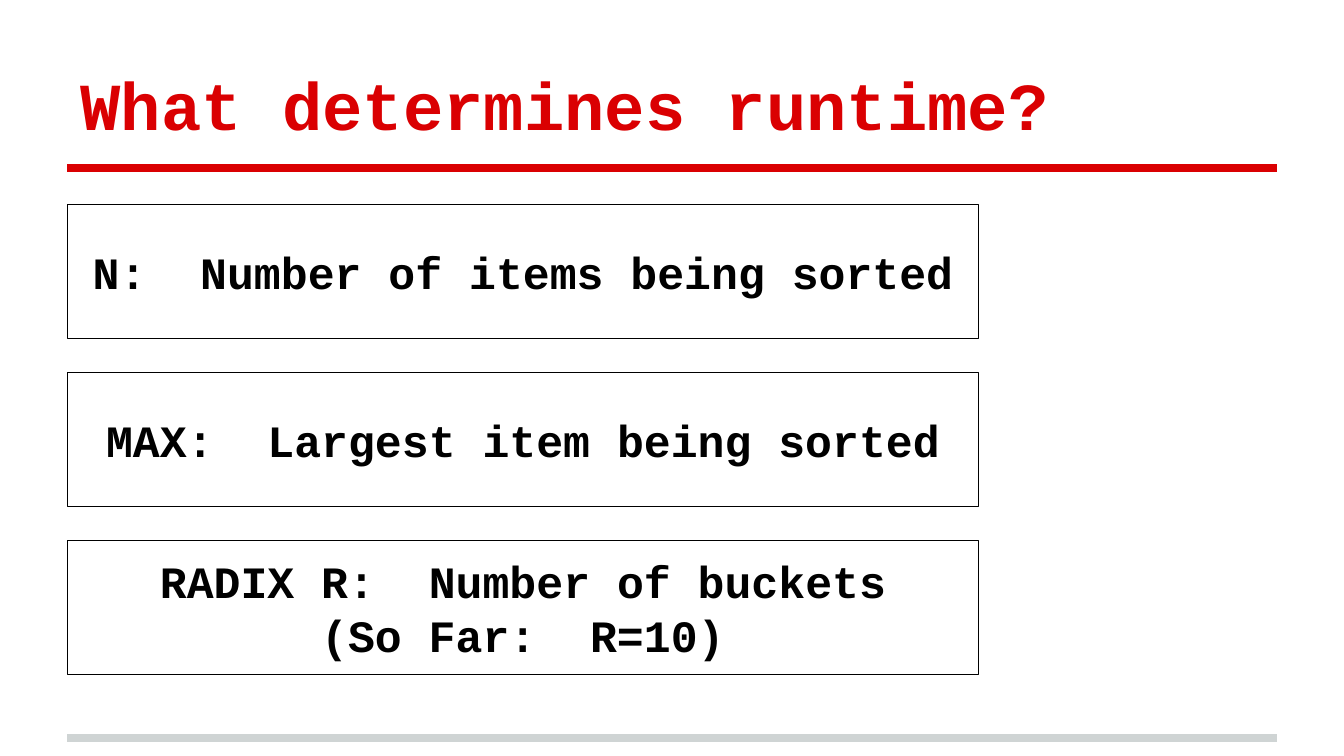
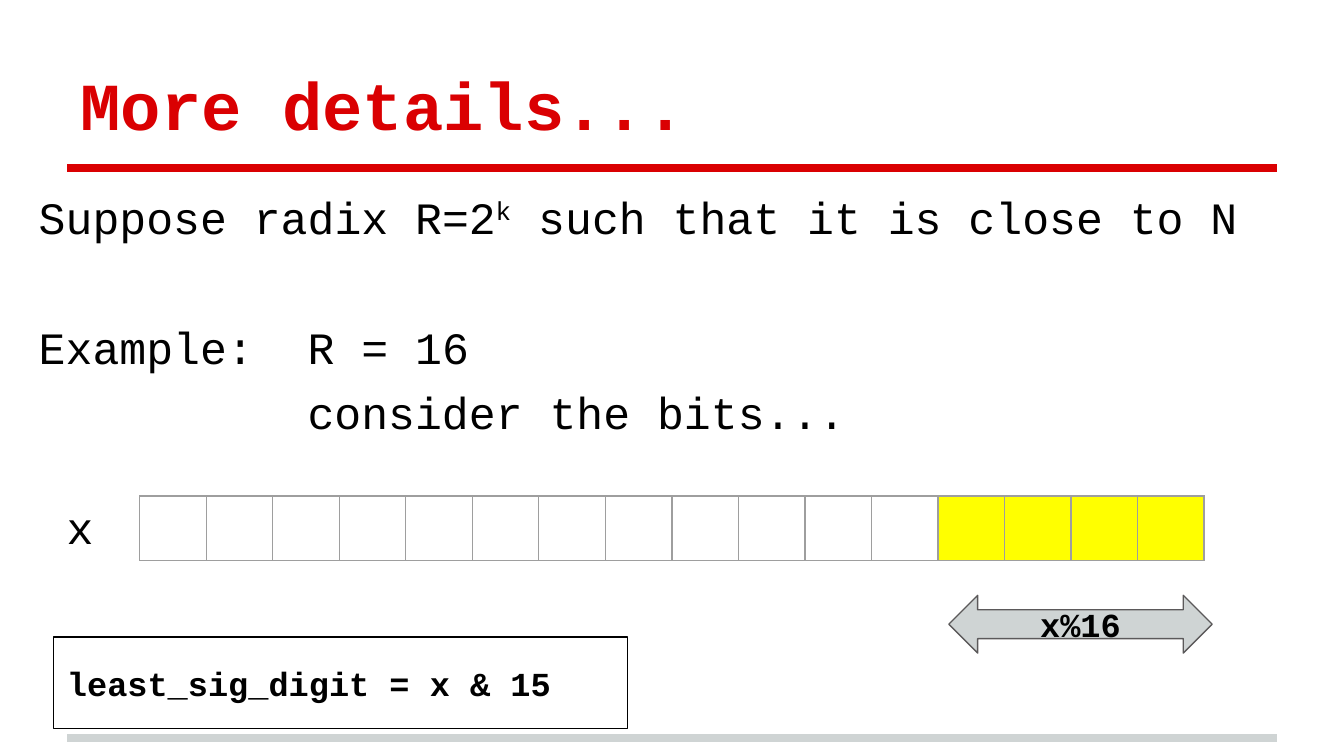
from pptx import Presentation
from pptx.dml.color import RGBColor
from pptx.enum.shapes import MSO_CONNECTOR as Line, MSO_SHAPE as Shape
from pptx.enum.text import MSO_ANCHOR as Anchor, MSO_AUTO_SIZE as Fit, PP_ALIGN as Align
from pptx.oxml.ns import qn
from pptx.util import Inches, Pt
from lxml.etree import SubElement as Sub

FONT = "Courier New"
RED, GREY, BLACK = "DA0002", "CFD4D4", "000000"
YELLOW, EDGE, GRID = "FFFF00", "5B595A", "9E9E9E"
LEFT, WIDE = 0.5, 9


def color(code):
    return RGBColor.from_string(code)


def place(item, box):
    item.left, item.top, item.width, item.height = map(Inches, box)


# Text
def frame(item, anchor):
    text = item.text_frame
    text.word_wrap = True
    text.auto_size = Fit.NONE
    text.vertical_anchor = anchor
    text.margin_left = text.margin_right = Inches(0.1)
    text.margin_top = text.margin_bottom = Inches(0.1)
    return text


def write(para, words, size, bold=False, tint=BLACK, align=Align.LEFT):
    para.alignment = align
    run = para.add_run()
    run.text = words
    font = run.font
    font.name, font.size, font.bold = FONT, Pt(size), bold
    font.color.rgb = color(tint)
    return run


def fill_in(item, lines, size, bold=True, align=Align.CENTER):
    text = frame(item, Anchor.MIDDLE)
    for i, words in enumerate(lines):
        para = text.add_paragraph() if i else text.paragraphs[0]
        write(para, words, size, bold, align=align)


# Shapes
def panel(slide, box, lines, size, kind=Shape.RECTANGLE, fill=None,
          edge=BLACK, align=Align.CENTER):
    item = slide.shapes.add_shape(kind, *map(Inches, box))
    item.shadow.inherit = False
    if fill:
        item.fill.solid()
        item.fill.fore_color.rgb = color(fill)
    else:
        item.fill.background()
    item.line.color.rgb = color(edge)
    item.line.width = Pt(0.75)
    fill_in(item, lines, size, align=align)


def rule(slide, top, tint):
    line = slide.shapes.add_connector(
        Line.STRAIGHT, Inches(LEFT), Inches(top), Inches(LEFT + WIDE), Inches(top))
    line.line.color.rgb = color(tint)
    line.line.width = Pt(4)
    Sub(line._element.spPr, qn("a:effectLst"))


# Title and the two rules that every slide has
def start(deck, title):
    slide = deck.slides.add_slide(deck.slide_layouts[5])
    head = slide.shapes.title
    place(head, (LEFT, 0.23, WIDE, 0.94))
    write(frame(head, Anchor.BOTTOM).paragraphs[0], title, 36, True, RED)
    rule(slide, 5.49, GREY)
    rule(slide, 1.25, RED)
    return slide


# Stack of equal boxes
def stack(slide, box, items, gap=0.25):
    left, top, width, height = box
    for i, lines in enumerate(items):
        panel(slide, (left, top + i * (height + gap), width, height), lines, 24)


# Body text
def body(slide, box):
    item = slide.shapes.add_textbox(*map(Inches, box))
    text = frame(item, Anchor.TOP)
    first = text.paragraphs[0]
    write(first, "Suppose radix R=2", 24)
    write(first, "k", 24).font._element.set("baseline", "30000")
    write(first, " such that it is close to N", 24)
    first.space_before = Pt(6)
    for words, space, indent in (("Example:  R = 16", 41, 0),
                                 ("consider the bits...", 6, 2)):
        para = text.add_paragraph()
        write(para, words, 24)
        para.space_before = Pt(space)
        para._p.get_or_add_pPr().set("marL", str(Inches(indent)))


# Row of bits, the last ones marked
def border(cell):
    props = cell._tc.get_or_add_tcPr()
    for i, side in enumerate(("lnL", "lnR", "lnT", "lnB")):
        line = props.makeelement(qn("a:" + side), {"w": str(Pt(0.75))})
        Sub(Sub(line, qn("a:solidFill")), qn("a:srgbClr"), val=GRID)
        props.insert(i, line)


def bits(slide, box, count, marked):
    table = slide.shapes.add_table(1, count, *map(Inches, box)).table
    table.first_row = table.horz_banding = False
    for i, col in enumerate(table.columns):
        col.width = Inches(box[2] / count)
        cell = table.cell(0, i)
        if i >= count - marked:
            cell.fill.solid()
            cell.fill.fore_color.rgb = color(YELLOW)
        else:
            cell.fill.background()
        border(cell)


def runtime(deck):
    slide = start(deck, "What determines runtime?")
    stack(slide, (LEFT, 1.52, 6.78, 1), [
        ["N:  Number of items being sorted"],
        ["MAX:  Largest item being sorted"],
        ["RADIX R:  Number of buckets", "(So Far:  R=10)"],
    ])


def details(deck):
    slide = start(deck, "More details...")
    body(slide, (0.19, 1.31, 9.74, 2.18))
    bits(slide, (1.04, 3.69, 7.92, 0.48), 16, 4)
    panel(slide, (7.06, 4.43, 1.96, 0.43), ["x%16"], 18,
          Shape.LEFT_RIGHT_ARROW, GREY, EDGE)
    label = slide.shapes.add_textbox(*map(Inches, (0.32, 3.7, 0.55, 0.43)))
    fill_in(label, ["x"], 24, bold=False)
    panel(slide, (0.4, 4.74, 4.27, 0.68), ["least_sig_digit = x & 15"], 18,
          align=Align.LEFT)


def main():
    deck = Presentation()
    # Widescreen, 16 to 9
    deck.slide_width = Inches(10)
    deck.slide_height = deck.slide_width * 9 // 16
    runtime(deck)
    details(deck)
    deck.save("out.pptx")


if __name__ == "__main__":
    main()
